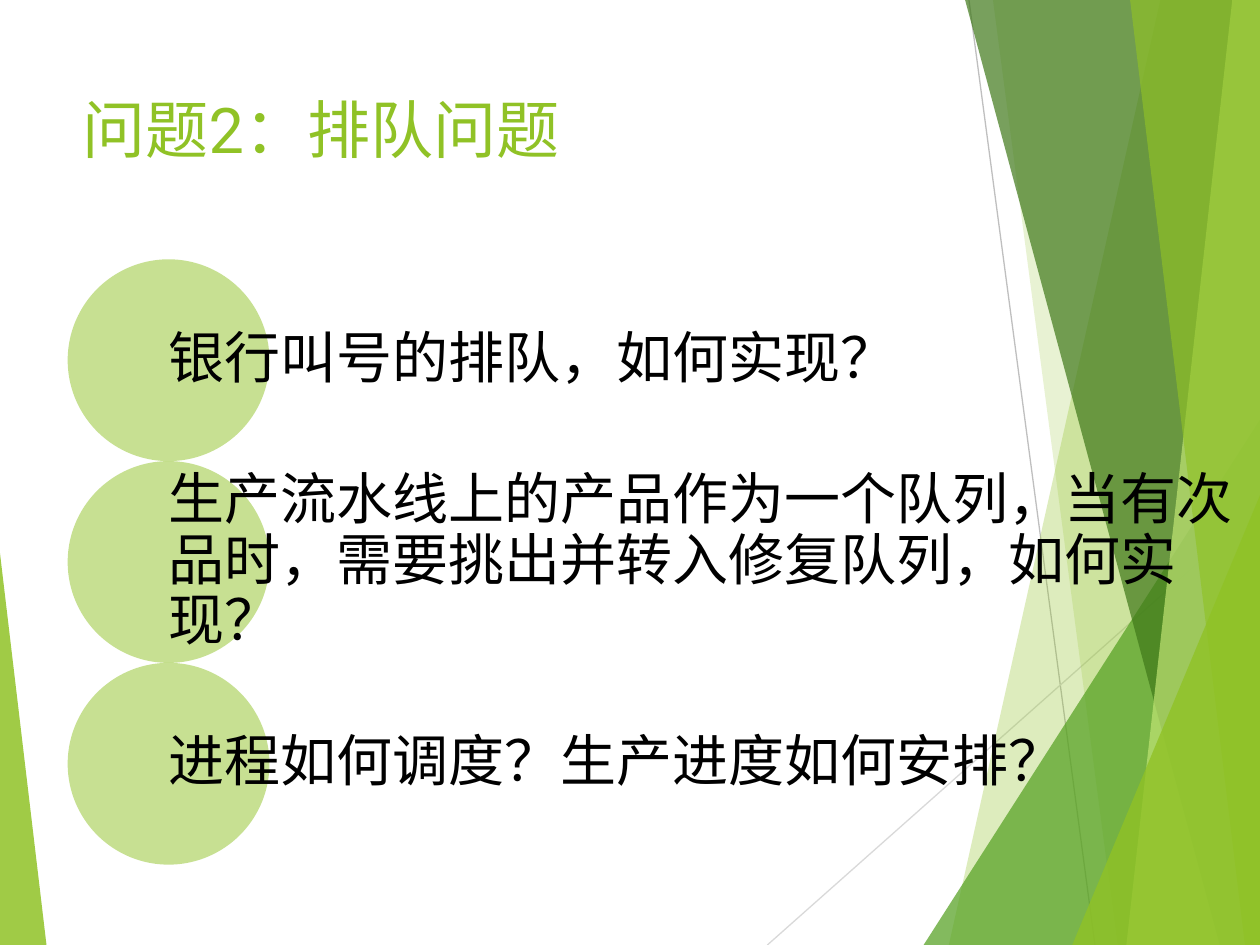
from lxml.etree import SubElement
from pptx import Presentation
from pptx.dml.color import RGBColor
from pptx.enum.shapes import MSO_CONNECTOR, MSO_SHAPE
from pptx.enum.text import MSO_ANCHOR, PP_ALIGN
from pptx.oxml.ns import qn
from pptx.util import Pt

TITLE = "问题2：排队问题"
QUESTIONS = [
    "银行叫号的排队，如何实现？",
    "生产流水线上的产品作为一个队列，当有次品时，需要挑出并转入修复队列，如何实现？",
    "进程如何调度？生产进度如何安排？",
]

FONT = "Roboto"
LIME = RGBColor(0x90, 0xC2, 0x26)
GREEN = RGBColor(0x54, 0xA0, 0x21)
FOREST = RGBColor(0x3F, 0x78, 0x19)
PALE_LIME = RGBColor(0xC0, 0xE4, 0x74)
GRAY = RGBColor(0xBF, 0xBF, 0xBF)
LIGHT_GRAY = RGBColor(0xD9, 0xD9, 0xD9)
BLACK = RGBColor(0, 0, 0)

WIDTH, HEIGHT = 720, 540
# Start x, start y, end x, end y, colour
RAYS = [
    (553.7, 0, 625.7, HEIGHT, GRAY),
    (WIDTH, 290.2, 438.5, HEIGHT, LIGHT_GRAY),
]
# From back to front. Band: top x, bottom x; it reaches the right edge.
# Triangle: left, top, width, apex position; it stands on the bottom edge.
FACETS = [
    ("band", (663.1, 542.2), LIME, 30),
    ("band", (567.4, 638.6), LIME, 20),
    ("triangle", (527.8, 239.8, 192.2, 1), GREEN, 72),
    ("band", (551.5, 697), FOREST, 70),
    ("band", (704.2, 643.7), PALE_LIME, 70),
    ("band", (645.8, 711.4), LIME, 65),
    ("triangle", (612.7, 283, 107.3, 1), LIME, 80),
    ("triangle", (0, 316, 26.6, 0), LIME, 85),
]
CIRCLE_LEFT, CIRCLE_TOP, DIAMETER = 38.7, 148.2, 115.3
QUESTION_WIDTH = 615


def paint(shape, colour, opacity):
    shape.shadow.inherit = False
    shape.fill.solid()
    shape.fill.fore_color.rgb = colour
    shape.line.fill.background()
    srgb = shape.fill._xPr.find(".//" + qn("a:srgbClr"))
    SubElement(srgb, qn("a:alpha"), val=str(opacity * 1000))


def add_ray(shapes, x1, y1, x2, y2, colour):
    ray = shapes.add_connector(MSO_CONNECTOR.STRAIGHT, Pt(x1), Pt(y1), Pt(x2), Pt(y2))
    ray.line.color.rgb = colour
    ray.line.width = Pt(0.75)
    SubElement(ray._element.spPr, qn("a:effectLst"))


def add_band(shapes, top_x, bottom_x):
    outline = shapes.build_freeform(Pt(top_x), 0)
    corners = [(WIDTH, 0), (WIDTH, HEIGHT), (bottom_x, HEIGHT)]
    outline.add_line_segments([(Pt(x), Pt(y)) for x, y in corners], close=True)
    return outline.convert_to_shape()


def add_triangle(shapes, left, top, width, apex):
    triangle = shapes.add_shape(MSO_SHAPE.ISOSCELES_TRIANGLE,
                                Pt(left), Pt(top), Pt(width), Pt(HEIGHT - top))
    triangle.adjustments[0] = apex
    return triangle


def style(paragraph, size, colour):
    paragraph.alignment = PP_ALIGN.LEFT
    paragraph.font.size = Pt(size)
    paragraph.font.name = FONT
    paragraph.font.color.rgb = colour


def add_question(shapes, question, top):
    circle = shapes.add_shape(MSO_SHAPE.OVAL, Pt(CIRCLE_LEFT), Pt(top),
                              Pt(DIAMETER), Pt(DIAMETER))
    paint(circle, LIME, 50)
    box = shapes.add_textbox(Pt(CIRCLE_LEFT + DIAMETER / 2), Pt(top),
                             Pt(QUESTION_WIDTH), Pt(DIAMETER))
    frame = box.text_frame
    frame.word_wrap = True
    frame.vertical_anchor = MSO_ANCHOR.MIDDLE
    frame.margin_left = frame.margin_right = 0
    frame.margin_top = frame.margin_bottom = Pt(3)
    frame.text = question
    paragraph = frame.paragraphs[0]
    paragraph.line_spacing = 0.9
    # Keep closing punctuation inside the box when a line is full
    paragraph._p.get_or_add_pPr().set("hangingPunct", "0")
    style(paragraph, 32, BLACK)


def main():
    deck = Presentation()
    deck.slide_width, deck.slide_height = Pt(WIDTH), Pt(HEIGHT)
    slide = deck.slides.add_slide(deck.slide_layouts[5])
    shapes = slide.shapes

    for ray in RAYS:
        add_ray(shapes, *ray)
    builders = {"band": add_band, "triangle": add_triangle}
    for kind, geometry, colour, opacity in FACETS:
        paint(builders[kind](shapes, *geometry), colour, opacity)

    title = shapes.title
    title.left, title.top, title.width, title.height = Pt(40), Pt(48), Pt(508), Pt(104)
    title.text_frame.text = TITLE
    title.text_frame.vertical_anchor = MSO_ANCHOR.TOP
    style(title.text_frame.paragraphs[0], 36, LIME)

    for row, question in enumerate(QUESTIONS):
        add_question(shapes, question, CIRCLE_TOP + row * DIAMETER)

    deck.save("out.pptx")


if __name__ == "__main__":
    main()
